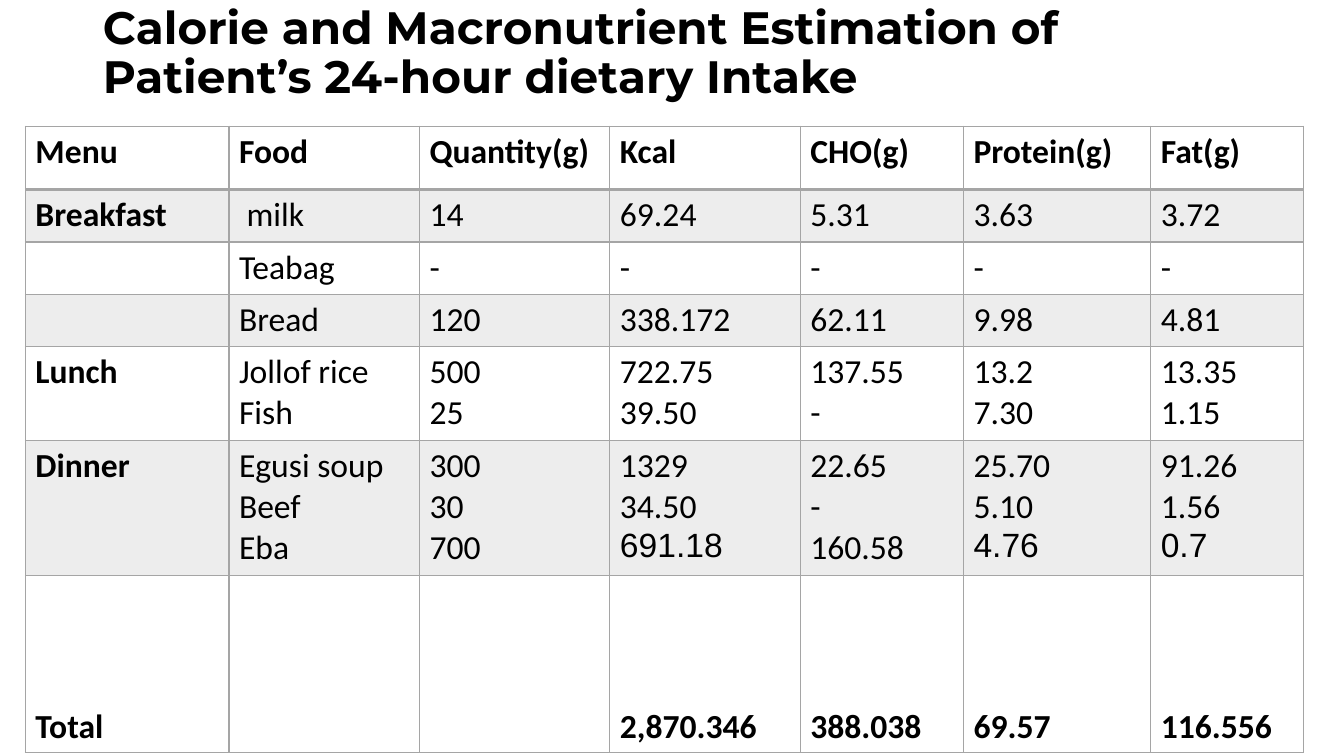
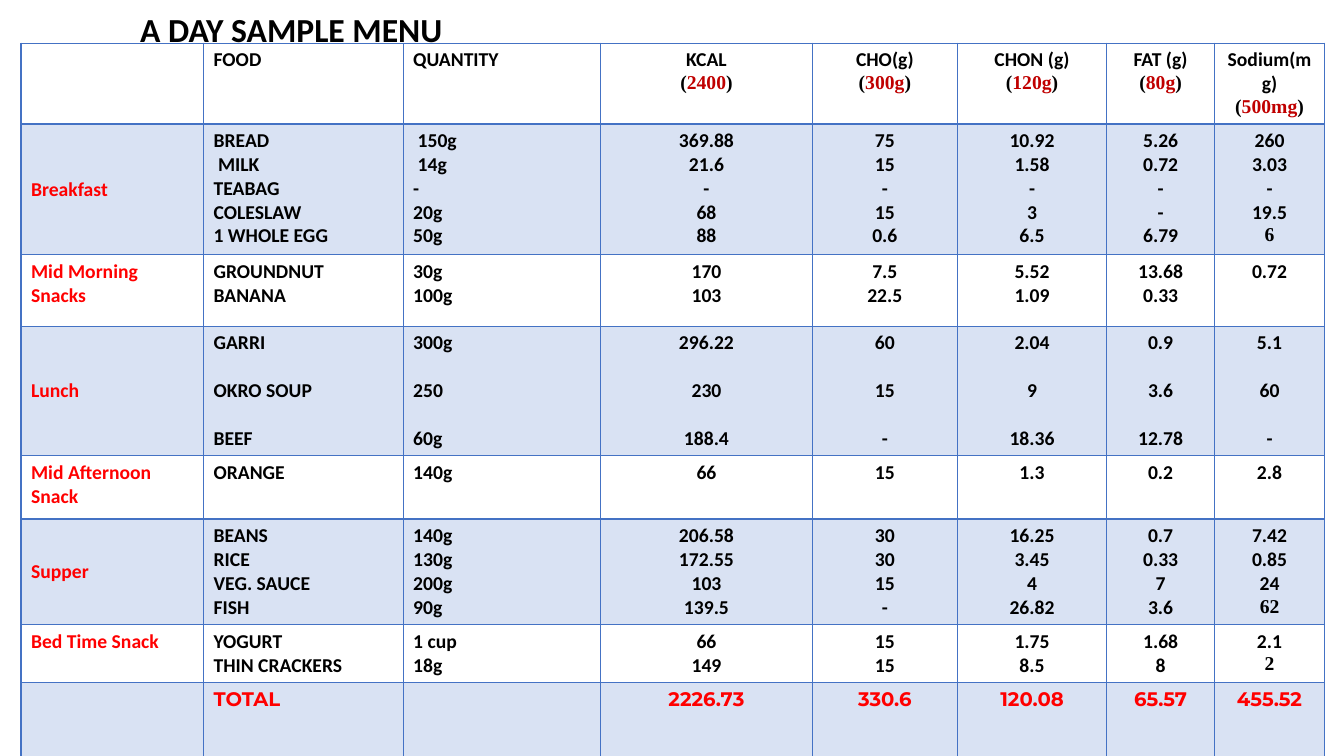
from lxml import etree
from pptx import Presentation
from pptx.dml.color import RGBColor
from pptx.enum.text import MSO_ANCHOR, MSO_AUTO_SIZE, PP_ALIGN
from pptx.oxml.ns import qn
from pptx.util import Cm, Pt

LEFT, CENTER = PP_ALIGN.LEFT, PP_ALIGN.CENTER
TOP, MIDDLE, BOTTOM = MSO_ANCHOR.TOP, MSO_ANCHOR.MIDDLE, MSO_ANCHOR.BOTTOM
NO_AUTOFIT = MSO_AUTO_SIZE.NONE
TITLE_ONLY = 5

BLACK, RED, DARK_RED = "000000", "FF0000", "C00000"
GREY, BLUE = "A5A5A5", "4472C4"
BODY_FONT, DISPLAY_FONT = "Calibri", "Montserrat"
BAND_ALPHA = "20000"
EMPTY = ("",)

# Content: each meal is a label and its foods, one tuple per food
INTAKE_TITLE = "Calorie and Macronutrient Estimation of Patient’s 24-hour dietary Intake"
INTAKE_HEADER = ("Menu", "Food", "Quantity(g)", "Kcal", "CHO(g)", "Protein(g)", "Fat(g)")
INTAKE_MEALS = [
    ("Breakfast", [(" milk", "14", "69.24", "5.31", "3.63", "3.72")]),
    ("", [("Teabag", "-", "-", "-", "-", "-")]),
    ("", [("Bread", "120", "338.172", "62.11", "9.98", "4.81")]),
    ("Lunch", [
        ("Jollof rice", "500", "722.75", "137.55", "13.2", "13.35"),
        ("Fish", "25", "39.50", "-", "7.30", "1.15"),
    ]),
    ("Dinner", [
        ("Egusi soup", "300", "1329", "22.65", "25.70", "91.26"),
        ("Beef", "30", "34.50", "-", "5.10", "1.56"),
        ("Eba", "700", "691.18", "160.58", "4.76", "0.7"),
    ]),
    ("Total", [("", "", "2,870.346", "388.038", "69.57", "116.556")]),
]
INTAKE_ARIAL = {"691.18", "4.76", "0.7"}
INTAKE_COLUMNS = (5.13, 4.8, 4.8, 4.8, 4.11, 4.72, 3.84)
INTAKE_ROWS = (1.6, 1.32, 1.32, 1.32, 2.36, 3.4, 4.47)

MENU_TITLE = "A DAY SAMPLE MENU"
MENU_HEADER = ("", "FOOD", "QUANTITY", "KCAL", "CHO(g)", "CHON (g)", "FAT (g)", "Sodium(mg)")
MENU_TARGETS = ("", "", "", "2400", "300g", "120g", "80g", "500mg")
MENU_MEALS = [
    ("Breakfast", [
        ("BREAD", " 150g", "369.88", "75", "10.92", "5.26", "260"),
        (" MILK", " 14g", "21.6", "15", "1.58", "0.72", "3.03"),
        ("TEABAG", "-", "-", "-", "-", "-", "-"),
        ("COLESLAW", "20g", "68", "15", "3", "-", "19.5"),
        ("1 WHOLE EGG", "50g", "88", "0.6", "6.5", "6.79", "6"),
    ]),
    ("Mid Morning Snacks", [
        ("GROUNDNUT", "30g", "170", "7.5", "5.52", "13.68", "0.72"),
        ("BANANA", "100g", "103", "22.5", "1.09", "0.33", ""),
    ]),
    ("Lunch", [
        ("GARRI", "300g", "296.22", "60", "2.04", "0.9", "5.1"),
        ("OKRO SOUP", "250", "230", "15", "9", "3.6", "60"),
        ("BEEF", "60g", "188.4", "-", "18.36", "12.78", "-"),
    ]),
    ("Mid Afternoon Snack", [("ORANGE", "140g", "66", "15", "1.3", "0.2", "2.8")]),
    ("Supper", [
        ("BEANS", "140g", "206.58", "30", "16.25", "0.7", "7.42"),
        ("RICE", "130g", "172.55", "30", "3.45", "0.33", "0.85"),
        ("VEG. SAUCE", "200g", "103", "15", "4", "7", "24"),
        ("FISH", "90g", "139.5", "-", "26.82", "3.6", "62"),
    ]),
    ("Bed Time Snack", [
        ("YOGURT", "1 cup", "66", "15", "1.75", "1.68", "2.1"),
        ("THIN CRACKERS", "18g", "149", "15", "8.5", "8", "2"),
    ]),
    ("", [("TOTAL", "", "2226.73", "330.6", "120.08", "65.57", "455.52")]),
]
MENU_TIMES = {"6", "62", "2"}
MENU_COLUMNS = (4.6, 5.03, 4.98, 5.33, 3.66, 3.76, 2.72, 2.77)
MENU_ROWS = (2.03, 3.3, 1.8, 3.23, 1.6, 2.62, 1.45, 1.93)


def rgb(color):
    return RGBColor.from_string(color)


def style_run(run, size, color=BLACK, bold=True, font=BODY_FONT):
    run.font.size = Pt(size)
    run.font.name = font
    run.font.bold = bold
    run.font.color.rgb = rgb(color)


def add_titled_slide(prs, title, box, size, font):
    slide = prs.slides.add_slide(prs.slide_layouts[TITLE_ONLY])
    heading = slide.shapes.title
    heading.left, heading.top, heading.width, heading.height = map(Cm, box)
    frame = heading.text_frame
    frame.text = title
    frame.word_wrap = True
    frame.auto_size = NO_AUTOFIT
    frame.vertical_anchor = TOP
    frame.margin_top = frame.margin_bottom = 0
    heading_line = frame.paragraphs[0]
    heading_line.alignment = LEFT
    heading_line.line_spacing = 0.9
    style_run(heading_line.runs[0], size, font=font)
    return slide


def set_borders(cell, color, bottom=1):
    properties = cell._tc.get_or_add_tcPr()
    for index, (side, width) in enumerate(zip("LRTB", (1, 1, 1, bottom))):
        line = etree.Element(qn(f"a:ln{side}"), w=str(Pt(width)))
        fill = etree.SubElement(line, qn("a:solidFill"))
        etree.SubElement(fill, qn("a:srgbClr"), val=color)
        properties.insert(index, line)


def set_band(cell, color):
    cell.fill.solid()
    cell.fill.fore_color.rgb = rgb(color)
    tint = cell._tc.tcPr.find(f"{qn('a:solidFill')}/{qn('a:srgbClr')}")
    etree.SubElement(tint, qn("a:alpha"), val=BAND_ALPHA)


def write_lines(cell, lines, align=LEFT, gap=0, odd_font=BODY_FONT, odd_values=(), **style):
    lines = [line for line in lines if line]
    frame = cell.text_frame
    frame.text = "\n".join(lines)
    for index, (paragraph, line) in enumerate(zip(frame.paragraphs, lines)):
        paragraph.alignment = align
        paragraph.space_before = Pt(gap if index else 0)
        font = odd_font if line in odd_values else style.get("font", BODY_FONT)
        style_run(paragraph.runs[0], **{**style, "font": font})


def add_meal_table(slide, corner, columns, rows, header, meals, color):
    """Draw the grid and yield (row, column, cell, lines) for every cell."""
    left, top = map(Cm, corner)
    table = slide.shapes.add_table(len(rows), len(columns), left, top,
                                   Cm(sum(columns)), Cm(sum(rows))).table
    table.horz_banding = False
    table.first_row = False
    for column, width in zip(table.columns, columns):
        column.width = Cm(width)
    for row, height in zip(table.rows, rows):
        row.height = Cm(height)

    content = [[(name,) for name in header]]
    content += [[(label,), *zip(*foods)] for label, foods in meals]
    for r, row_lines in enumerate(content):
        for c, lines in enumerate(row_lines):
            cell = table.cell(r, c)
            if r % 2:
                set_band(cell, color)
            else:
                cell.fill.background()
            set_borders(cell, color, bottom=1 if r else 2)
            yield r, c, cell, lines


def build_intake(prs):
    slide = add_titled_slide(prs, INTAKE_TITLE, (2.34, 0.13, 29.21, 2.6), 32.4, DISPLAY_FONT)
    total_row = len(INTAKE_MEALS)
    for r, c, cell, lines in add_meal_table(slide, (0.64, 3.18), INTAKE_COLUMNS, INTAKE_ROWS,
                                            INTAKE_HEADER, INTAKE_MEALS, GREY):
        write_lines(cell, lines, size=24, bold=r in (0, total_row) or c == 0,
                    odd_font="Arial", odd_values=INTAKE_ARIAL)
        if r == total_row:
            cell.vertical_anchor = BOTTOM


def add_target(cell, target):
    paragraph = cell.text_frame.add_paragraph()
    paragraph.alignment = CENTER
    for text, color in (("(", BLACK), (target, DARK_RED), (")", BLACK)):
        run = paragraph.add_run()
        run.text = text
        style_run(run, 14, color, font="Times New Roman")


def build_menu(prs):
    slide = add_titled_slide(prs, MENU_TITLE, (3.28, 0.33, 11.28, 1.2), 24, BODY_FONT)
    total_row = len(MENU_MEALS)
    for r, c, cell, lines in add_meal_table(slide, (0.53, 1.09), MENU_COLUMNS, MENU_ROWS,
                                            MENU_HEADER, MENU_MEALS, BLUE):
        is_total = r == total_row
        write_lines(cell, lines, size=14,
                    align=CENTER if c > 2 else LEFT,
                    gap=17 if r and MENU_MEALS[r - 1][0] == "Lunch" else 0,
                    color=RED if is_total or c == 0 else BLACK,
                    font=DISPLAY_FONT if is_total else BODY_FONT,
                    odd_font="Times New Roman", odd_values=MENU_TIMES)
        if r == 0 and MENU_TARGETS[c]:
            add_target(cell, MENU_TARGETS[c])
        if c == 0 and r % 2:
            cell.vertical_anchor = MIDDLE


def main():
    prs = Presentation()
    prs.slide_width, prs.slide_height = Cm(33.87), Cm(19.05)
    build_intake(prs)
    build_menu(prs)
    prs.save("out.pptx")


if __name__ == "__main__":
    main()
